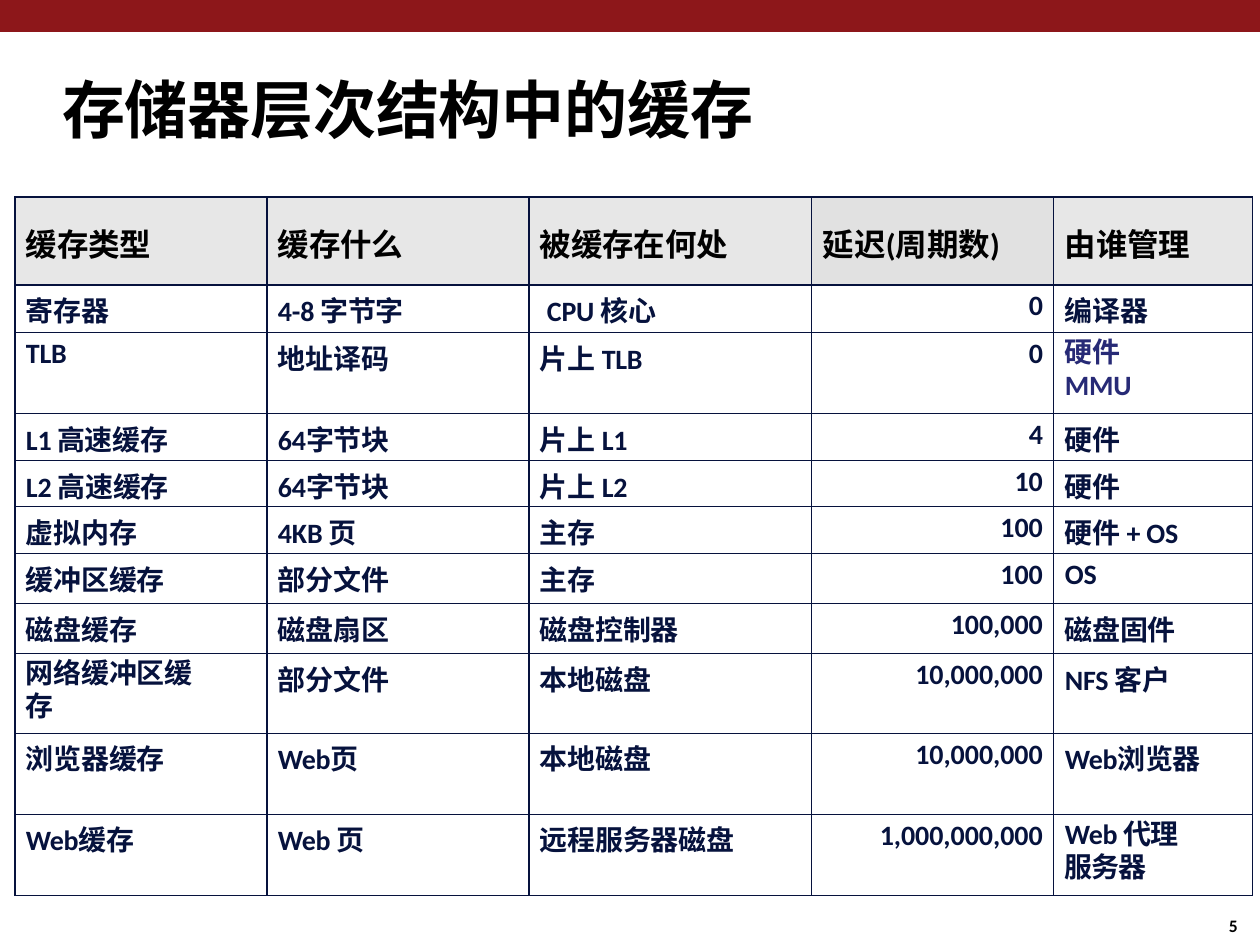
from pptx import Presentation
from pptx import util as u
from pptx.dml.color import RGBColor
from pptx.enum import shapes, text
from pptx.oxml.ns import qn
from lxml import etree

# Content: a cell is a string, or a list of (string, letter spacing) runs
TITLE = "存储器层次结构中的缓存"
PAGE = "5"
HEAD = ["缓存类型", "缓存什么", "被缓存在何处", [("延迟(周期数)", 0)], "由谁管理"]
BODY = [
    ["寄存器", "4-8 字节字", "CPU 核心", "0", "编译器"],
    ["TLB", "地址译码", "片上 TLB", "0", "硬件MMU"],
    [[("L1 ", -10), ("高速", -80), ("缓存", -10)], "64字节块", "片上 L1", "4", "硬件"],
    ["L2 高速缓存", "64字节块", "片上 L2", "10", "硬件"],
    ["虚拟内存", "4KB 页", "主存", "100", "硬件 + OS"],
    ["缓冲区缓存", "部分文件", "主存", "100", "OS"],
    ["磁盘缓存", "磁盘扇区", "磁盘控制器", "100,000", "磁盘固件"],
    ["网络缓冲区缓存", "部分文件", "本地磁盘", "10,000,000", "NFS 客户"],
    ["浏览器缓存", [("Web页", -20)], "本地磁盘", "10,000,000", [("Web浏览器", -20)]],
    [[("Web缓存", -20)], [("Web ", -20), ("页", -10)], "远程服务器磁盘",
     "1,000,000,000", [("Web ", -20), ("代理服务器", -60)]],
]
COLS = [252, 262, 283, 242, 199]
ROWS = [88, 48, 81, 47, 46, 47, 50, 50, 80, 81, 81]
WRAP = {(2, 4): 76, (8, 0): 60, (10, 4): 60}  # (row, column): right indent
NUM = 3  # column of right-aligned numbers

FONT = "Calibri"
RED = RGBColor(0x8D, 0x17, 0x1A)
BLACK = RGBColor(0, 0, 0)
NAVY = RGBColor(0x06, 0x12, 0x3D)
BLUE = RGBColor(0x27, 0x2A, 0x76)
GRAY = RGBColor(0xE7, 0xE7, 0xE7)
DARK = RGBColor(0xE1, 0xE1, 0xE1)


def px(n):
    return u.Emu(round(n * u.Inches(1) / 126))


def place(shape, x, y, w, h):
    shape.left, shape.top, shape.width, shape.height = map(px, (x, y, w, h))


def bare(frame):
    frame.margin_left = frame.margin_top = 0
    frame.margin_right = frame.margin_bottom = 0
    frame.vertical_anchor = text.MSO_ANCHOR.TOP
    frame.word_wrap = True


def write(para, runs, size, color, left=0, right=0):
    if isinstance(runs, str):
        runs = [(runs, -10)]
    props = para._p.get_or_add_pPr()
    props.set("marL", str(px(left)))
    props.set("marR", str(px(right)))
    props.set("indent", "0")
    for words, gap in runs:
        run = para.add_run()
        run.text = words
        font = run.font
        font.name, font.size, font.bold = FONT, u.Pt(size), True
        font.color.rgb = color
        run._r.get_or_add_rPr().set("spc", str(gap))


def border(cell):
    props = cell._tc.get_or_add_tcPr()
    for i, side in enumerate(("lnL", "lnR", "lnT", "lnB")):
        line = etree.Element(qn("a:" + side), w=str(u.Pt(0.75)))
        fill = etree.SubElement(line, qn("a:solidFill"))
        etree.SubElement(fill, qn("a:srgbClr"), val=str(NAVY))
        props.insert(i, line)


def fill_cell(cell, r, c, words):
    head, wrap = r == 0, (r, c) in WRAP
    cell.margin_left = cell.margin_right = cell.margin_bottom = 0
    cell.margin_top = px(23 if head else 5 if wrap else 4)
    cell.vertical_anchor = text.MSO_ANCHOR.TOP
    if head:
        cell.fill.solid()
        cell.fill.fore_color.rgb = DARK if c == NUM else GRAY
    else:
        cell.fill.background()
    border(cell)
    para = cell.text_frame.paragraphs[0]
    para.space_before = u.Pt(12.7 if head else 3 if wrap else 1.9)
    if wrap:
        para.line_spacing = u.Pt(18.7)
    left, right = 11, WRAP.get((r, c), 0)
    if c == NUM and not head:
        para.alignment = text.PP_ALIGN.RIGHT
        left, right, words = 0, 11, [(words, 0)]
    if (r, c) == (1, 2):
        left = 18
    color = BLACK if head else BLUE if (r, c) == (2, 4) else NAVY
    write(para, words, 18 if head else 16, color, left, right)


def main():
    deck = Presentation()
    deck.slide_width, deck.slide_height = u.Inches(10), u.Inches(7.5)
    slide = deck.slides.add_slide(deck.slide_layouts[5])

    # Top bar
    bar = slide.shapes.add_shape(shapes.MSO_SHAPE.RECTANGLE, 0, 0, px(1260), px(32))
    bar.shadow.inherit = False
    bar.fill.solid()
    bar.fill.fore_color.rgb = RED
    bar.line.fill.background()

    # Page number
    page = slide.shapes.add_textbox(0, 0, 0, 0)
    place(page, 1226, 918, 25, 22)
    bare(page.text_frame)
    para = page.text_frame.paragraphs[0]
    para.line_spacing = u.Pt(10.4)
    write(para, PAGE, 10, BLACK, 3)

    # Title
    title = slide.shapes.title
    place(title, 61, 71, 1140, 77)
    bare(title.text_frame)
    para = title.text_frame.paragraphs[0]
    para.alignment = text.PP_ALIGN.LEFT
    write(para, TITLE, 36, BLACK, 1)

    # Table
    data = [HEAD] + BODY
    frame = slide.shapes.add_table(len(ROWS), len(COLS), px(15), px(197),
                                   px(sum(COLS)), px(sum(ROWS)))
    table = frame.table
    table.first_row = table.horz_banding = False
    for col, w in zip(table.columns, COLS):
        col.width = px(w)
    for r, (row, h) in enumerate(zip(table.rows, ROWS)):
        row.height = px(h)
        for c, words in enumerate(data[r]):
            fill_cell(table.cell(r, c), r, c, words)

    deck.save("out.pptx")


if __name__ == "__main__":
    main()
